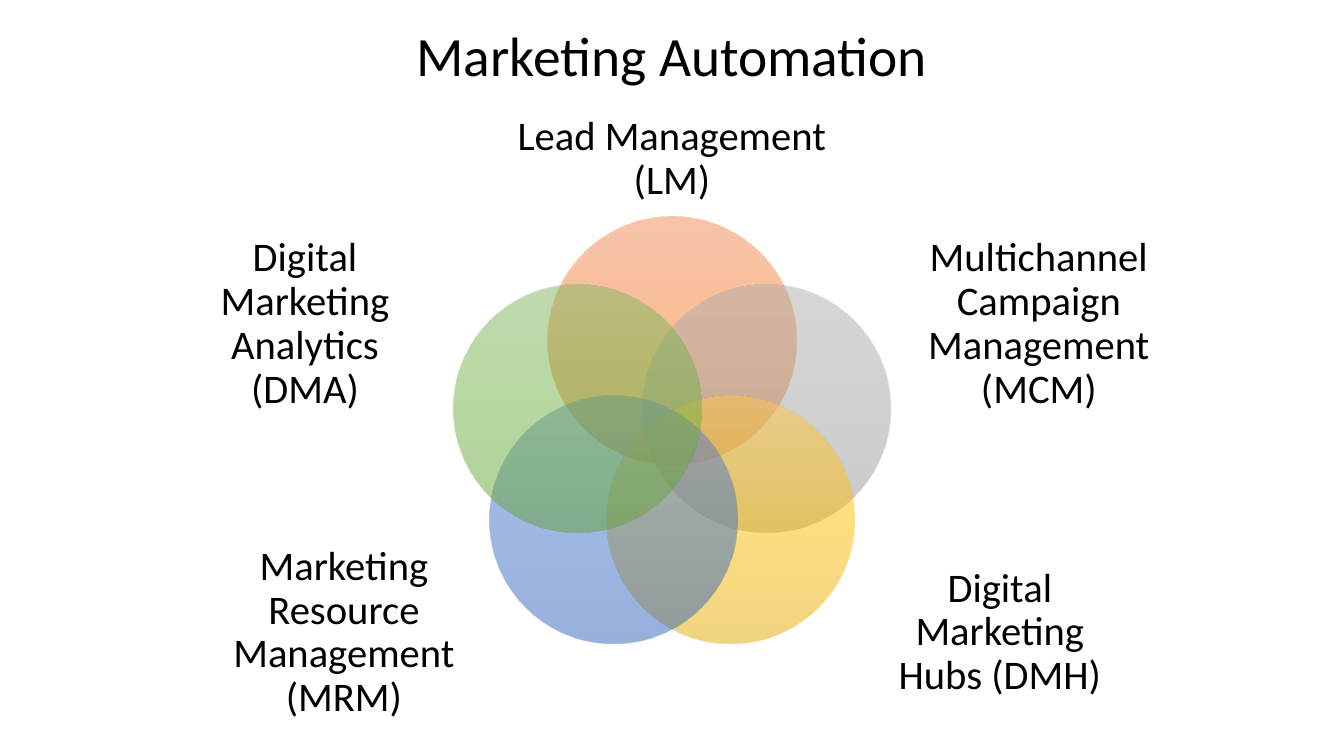
from math import cos, radians, sin

from lxml.etree import SubElement
from pptx import Presentation
from pptx.dml.color import RGBColor
from pptx.enum.shapes import MSO_SHAPE
from pptx.enum.text import MSO_ANCHOR, PP_ALIGN
from pptx.oxml.ns import qn
from pptx.util import Inches, Pt

WIDTH, HEIGHT = Inches(13.33), Inches(7.5)
FONT = "Calibri"
OPACITY = 50

# Venn ring, in percent of the slide's height
DIAMETER, RING_RADIUS, RING_CENTRE = 32.8, 13.1, 58.1

# Label grid: columns in percent of the width, rows in percent of the height
SIDE_SIZE, TOP_SIZE = (19.2, 23.9), (28.05, 22)
MIDDLE, UPPER_OFFSET, LOWER_OFFSET = 50, 27.3, 24.4
TOP_ROW, UPPER_ROW, LOWER_ROW = 21.1, 42.9, 83.7

# Clockwise from the top: label, centre, size, gradient from top to bottom
DISCIPLINES = [
    ("Lead Management (LM)", (MIDDLE, TOP_ROW), TOP_SIZE,
     ("F18C57", "F67B28", "E56C19")),
    ("Multichannel Campaign Management (MCM)",
     (MIDDLE + UPPER_OFFSET, UPPER_ROW), SIDE_SIZE,
     ("AFAFAF", "A5A5A5", "939393")),
    ("Digital Marketing Hubs (DMH)",
     (MIDDLE + LOWER_OFFSET, LOWER_ROW), SIDE_SIZE,
     ("FFC64B", "FFC000", "E3AB00")),
    ("Marketing Resource Management (MRM)",
     (MIDDLE - LOWER_OFFSET, LOWER_ROW), SIDE_SIZE,
     ("6183CB", "3E70CA", "3062BB")),
    ("Digital Marketing Analytics (DMA)",
     (MIDDLE - UPPER_OFFSET, UPPER_ROW), SIDE_SIZE,
     ("81B861", "6FB242", "62A336")),
]


def across(percent):
    return round(WIDTH * percent / 100)


def down(percent):
    return round(HEIGHT * percent / 100)


def colour(hex_code):
    return RGBColor.from_string(hex_code)


def centred_box(centre, size):
    """Turn a centre and size in percent into left, top, width, height."""
    (x, y), (width, height) = centre, size
    return (across(x - width / 2), down(y - height / 2),
            across(width), down(height))


def write_centred(frame, wording, size):
    frame.word_wrap = True
    frame.vertical_anchor = MSO_ANCHOR.MIDDLE
    paragraph = frame.paragraphs[0]
    paragraph.alignment = PP_ALIGN.CENTER
    paragraph.line_spacing = 0.9
    run = paragraph.add_run()
    run.text = wording
    run.font.name = FONT
    run.font.size = Pt(size)
    run.font.color.rgb = colour("000000")


def fill_gradient(shape, shades):
    """Fill from top to bottom with evenly spaced translucent shades."""
    shape.fill.gradient()
    shape.fill.gradient_angle = 270
    stops = shape.element.spPr.find(".//" + qn("a:gsLst"))
    for stop in list(stops):
        stops.remove(stop)
    for index, shade in enumerate(shades):
        position = index * 100000 // (len(shades) - 1)
        stop = SubElement(stops, qn("a:gs"), pos=str(position))
        tint = SubElement(stop, qn("a:srgbClr"), val=shade)
        SubElement(tint, qn("a:alpha"), val=str(OPACITY * 1000))


def add_title(slide, wording):
    title = slide.shapes.title
    title.left, title.top, title.width, title.height = centred_box(
        (MIDDLE, 7.7), (86.3, 4.8))
    write_centred(title.text_frame, wording, 39.6)


def add_circle(slide, angle, shades):
    diameter = down(DIAMETER)
    x = across(MIDDLE) + down(RING_RADIUS * sin(radians(angle)))
    y = down(RING_CENTRE - RING_RADIUS * cos(radians(angle)))
    circle = slide.shapes.add_shape(
        MSO_SHAPE.OVAL, x - diameter // 2, y - diameter // 2,
        diameter, diameter)
    circle.shadow.inherit = False
    circle.line.fill.background()
    fill_gradient(circle, shades)


def add_label(slide, wording, centre, size):
    frame = slide.shapes.add_textbox(*centred_box(centre, size)).text_frame
    frame.margin_left = frame.margin_right = 0
    frame.margin_top = frame.margin_bottom = 0
    write_centred(frame, wording, 29)


def main():
    deck = Presentation()
    deck.slide_width, deck.slide_height = WIDTH, HEIGHT
    slide = deck.slides.add_slide(deck.slide_layouts[5])

    add_title(slide, "Marketing Automation")

    # Overlapping circles with their labels around them
    step = 360 / len(DISCIPLINES)
    for index, (wording, centre, size, shades) in enumerate(DISCIPLINES):
        add_circle(slide, index * step, shades)
        add_label(slide, wording, centre, size)

    deck.save("out.pptx")


if __name__ == "__main__":
    main()
